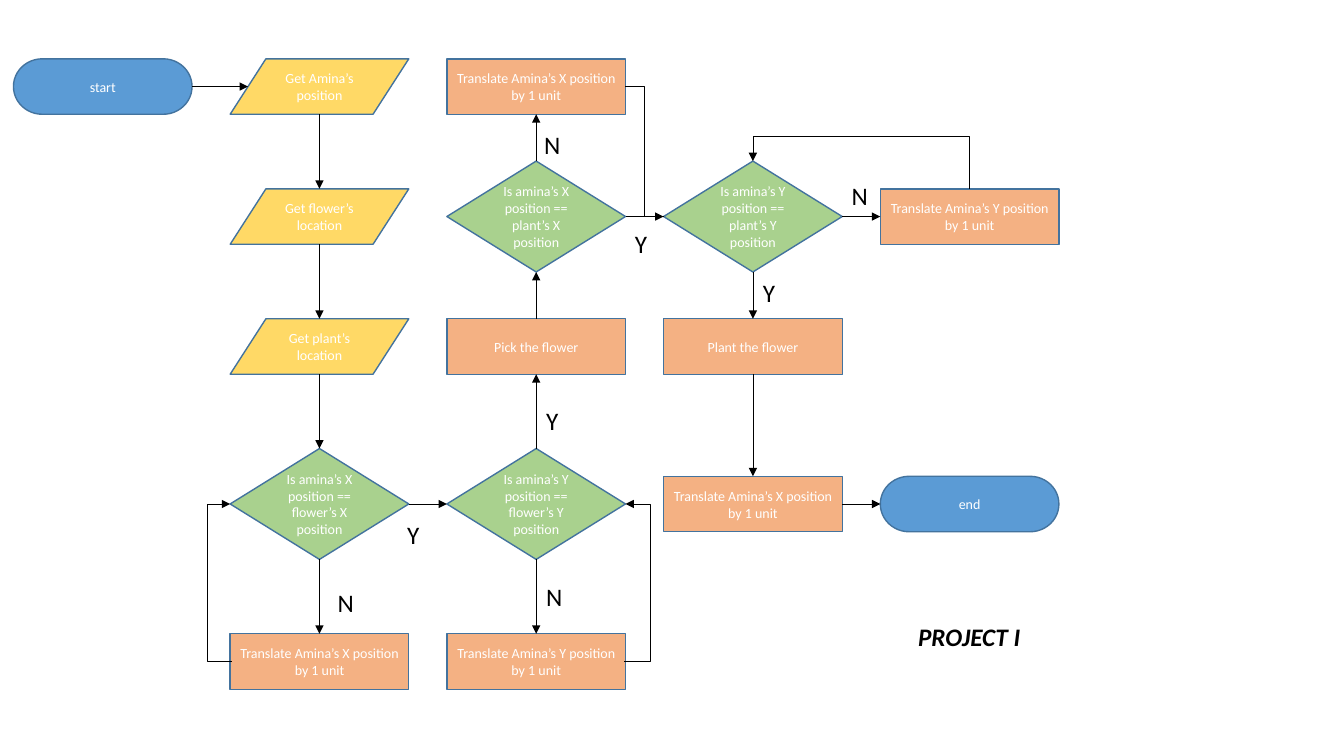
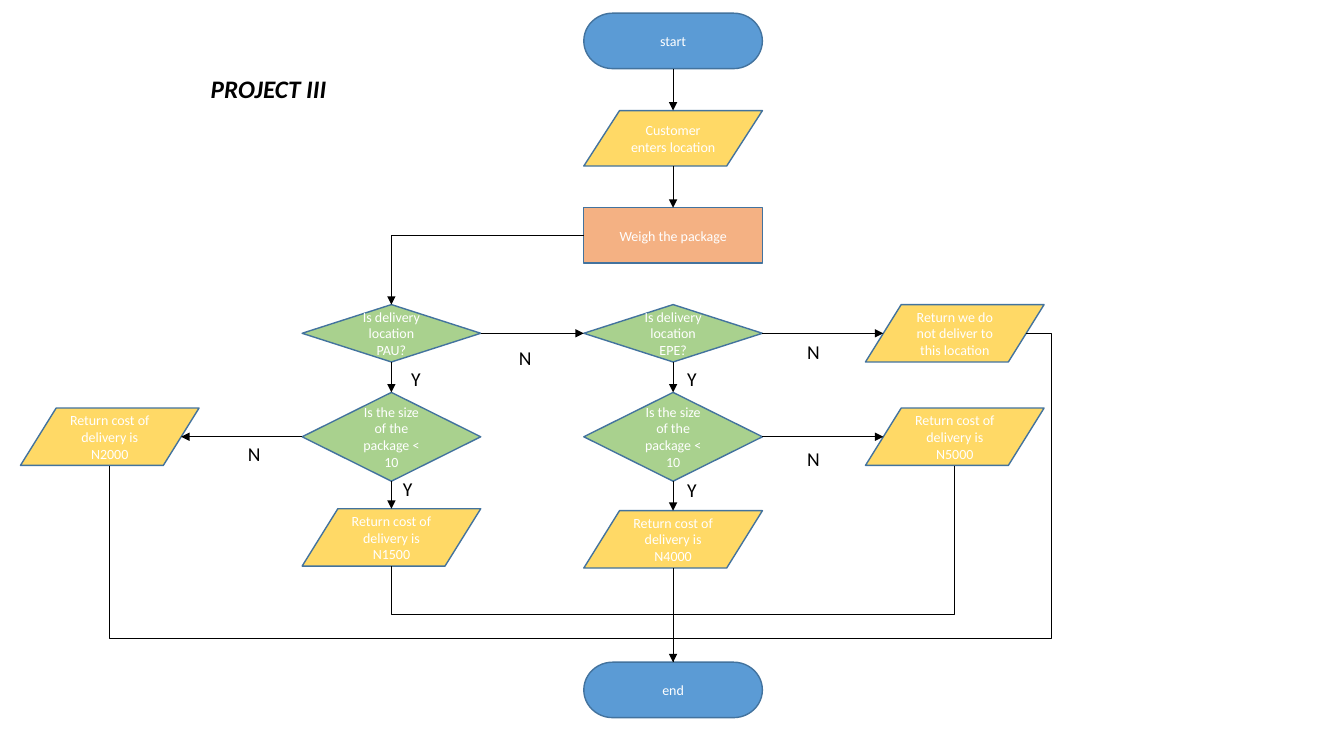
from dataclasses import dataclass

from lxml.etree import SubElement
from pptx import Presentation
from pptx.dml.color import RGBColor
from pptx.enum.shapes import MSO_CONNECTOR, MSO_SHAPE
from pptx.enum.text import MSO_ANCHOR, MSO_AUTO_SIZE, PP_ALIGN
from pptx.oxml.ns import qn
from pptx.util import Pt


@dataclass(frozen=True)
class Theme:
    font: str = "Calibri"
    terminator: str = "5B9BD5"
    input: str = "FFD966"
    process: str = "F4B183"
    decision: str = "A9D18E"
    outline: str = "43739E"
    light: str = "FFFFFF"
    dark: str = "000000"
    node_size: float = 10
    title_size: float = 18
    outline_width: float = 1
    link_width: float = 0.5


THEME = Theme()
SLIDE_WIDTH, SLIDE_HEIGHT = 960, 540
NODE_WIDTH, NODE_HEIGHT = 127.6, 39.6
INPUT_INSET = 0.1
PRESETS = {
    "terminator": MSO_SHAPE.FLOWCHART_TERMINATOR,
    "input": MSO_SHAPE.FLOWCHART_DATA,
    "process": MSO_SHAPE.FLOWCHART_PROCESS,
    "decision": MSO_SHAPE.FLOWCHART_DECISION,
}
SIDES = {"left": (-1, 0), "right": (1, 0), "top": (0, -1), "bottom": (0, 1)}
STEP_X = "Translate Amina’s X position by 1 unit"
STEP_Y = "Translate Amina’s Y position by 1 unit"
SIZE_QUESTION = "Is the size of the package < 10"

# nodes: name -> kind, column, row, text, optional height
FLOWER = {
    "title": ("PROJECT I", 571, 440.6, 242.6),
    "columns": [73.4 + 154.8 * column for column in range(5)],
    "rows": [61.8, 154.7, 247.5, 360, 472.5],
    "nodes": {
        "start": ("terminator", 0, 0, "start"),
        "amina": ("input", 1, 0, "Get Amina’s position"),
        "flower": ("input", 1, 1, "Get flower’s location"),
        "plant": ("input", 1, 2, "Get plant’s location"),
        "flower x": ("decision", 1, 3, "Is amina’s X position == flower’s X position", 79.2),
        "flower x step": ("process", 1, 4, STEP_X),
        "flower y": ("decision", 2, 3, "Is amina’s Y position == flower’s Y position", 79.2),
        "flower y step": ("process", 2, 4, STEP_Y),
        "pick": ("process", 2, 2, "Pick the flower"),
        "plant x": ("decision", 2, 1, "Is amina’s X position == plant’s X position", 79.2),
        "plant x step": ("process", 2, 0, STEP_X),
        "plant y": ("decision", 3, 1, "Is amina’s Y position == plant’s Y position", 79.2),
        "plant y step": ("process", 4, 1, STEP_Y),
        "put": ("process", 3, 2, "Plant the flower"),
        "leave": ("process", 3, 3, STEP_X),
        "end": ("terminator", 4, 3, "end"),
    },
    "arrows": [
        ("start", "right", "amina", "left"),
        ("amina", "bottom", "flower", "top"),
        ("flower", "bottom", "plant", "top"),
        ("plant", "bottom", "flower x", "top"),
        ("flower x", "bottom", "flower x step", "top"),
        ("flower x", "right", "flower y", "left"),
        ("flower y", "bottom", "flower y step", "top"),
        ("flower y", "top", "pick", "bottom"),
        ("pick", "top", "plant x", "bottom"),
        ("plant x", "top", "plant x step", "bottom"),
        ("plant x", "right", "plant y", "left"),
        ("plant y", "right", "plant y step", "left"),
        ("plant y", "bottom", "put", "top"),
        ("put", "bottom", "leave", "top"),
        ("leave", "right", "end", "left"),
    ],
    "elbows": [
        ("flower x step", "left", "flower x", "left", [147.8], True),
        ("flower y step", "right", "flower y", "right", [464.4], True),
        ("plant x step", "right", "plant y", "left", [460.1], False),
        ("plant y step", "top", "plant y", "top", [97.2], True),
    ],
    "label_size": 18,
    "labels": [
        ("N", 234, 416.2), ("Y", 283.7, 367.2), ("N", 383, 411.8), ("Y", 383, 285.8),
        ("N", 381.6, 88.6), ("Y", 446.4, 159.8), ("N", 601.2, 125.3), ("Y", 537.8, 194.4),
    ],
}

DELIVERY = {
    "title": ("PROJECT III", 116.6, 49, 150.5),
    "columns": [78.4 + 201.2 * column for column in range(4)],
    "rows": [29.2, 98.8, 168.2, 238.1, 312, 383.9, 385.3, 492.8],
    "nodes": {
        "start": ("terminator", 2, 0, "start"),
        "customer": ("input", 2, 1, "Customer enters location"),
        "weigh": ("process", 2, 2, "Weigh the package"),
        "pau": ("decision", 1, 3, "Is delivery location PAU?", 41),
        "epe": ("decision", 2, 3, "Is delivery location EPE?", 41),
        "refuse": ("input", 3, 3, "Return we do not deliver to this location", 41),
        "pau size": ("decision", 1, 4, SIZE_QUESTION, 63.4),
        "epe size": ("decision", 2, 4, SIZE_QUESTION, 63.4),
        "2000": ("input", 0, 4, "Return cost of delivery is N2000", 41),
        "5000": ("input", 3, 4, "Return cost of delivery is N5000", 41),
        "1500": ("input", 1, 5, "Return cost of delivery is N1500", 41),
        "4000": ("input", 2, 6, "Return cost of delivery is N4000", 41),
        "end": ("terminator", 2, 7, "end"),
    },
    "arrows": [
        ("start", "bottom", "customer", "top"),
        ("customer", "bottom", "weigh", "top"),
        ("pau", "right", "epe", "left"),
        ("epe", "right", "refuse", "left"),
        ("pau", "bottom", "pau size", "top"),
        ("epe", "bottom", "epe size", "top"),
        ("pau size", "left", "2000", "right"),
        ("epe size", "right", "5000", "left"),
        ("pau size", "bottom", "1500", "top"),
        ("epe size", "bottom", "4000", "top"),
        ("4000", "bottom", "end", "top"),
    ],
    "elbows": [
        ("weigh", "left", "pau", "top", [], True),
        ("1500", "bottom", "end", "top", [438.8], False),
        ("2000", "bottom", "end", "top", [455.9], False),
        ("5000", "bottom", "end", "top", [438.8], False),
        ("refuse", "right", "end", "top", [751, 455.9], False),
    ],
    "label_size": 14,
    "labels": [
        ("Y", 286.6, 258.5), ("N", 169.9, 311.8), ("N", 363.6, 243.4), ("N", 569.5, 239),
        ("Y", 280.8, 337), ("N", 569.5, 315.4), ("Y", 483.8, 258.5), ("Y", 483.8, 337.7),
    ],
}


def write_text(shape, text, size, color, align=PP_ALIGN.LEFT, anchor=MSO_ANCHOR.TOP,
               wrap=True, bold=False, italic=False):
    frame = shape.text_frame
    frame.word_wrap = wrap
    frame.vertical_anchor = anchor
    paragraph = frame.paragraphs[0]
    paragraph.alignment = align
    run = paragraph.add_run()
    run.text = text
    run.font.name = THEME.font
    run.font.size = Pt(size)
    run.font.bold = bold
    run.font.italic = italic
    run.font.color.rgb = RGBColor.from_string(color)


def add_text_box(slide, text, left, top, width, size, **text_format):
    box = slide.shapes.add_textbox(Pt(left), Pt(top), Pt(width), Pt(size * 1.2 + 7.2))
    write_text(box, text, size, THEME.dark, **text_format)
    box.text_frame.auto_size = MSO_AUTO_SIZE.SHAPE_TO_FIT_TEXT


def add_node(slide, chart, kind, column, row, text, height=NODE_HEIGHT):
    left = chart["columns"][column] - NODE_WIDTH / 2
    top = chart["rows"][row] - height / 2
    shape = slide.shapes.add_shape(PRESETS[kind], Pt(left), Pt(top), Pt(NODE_WIDTH), Pt(height))
    shape.shadow.inherit = False
    shape.fill.solid()
    shape.fill.fore_color.rgb = RGBColor.from_string(getattr(THEME, kind))
    shape.line.color.rgb = RGBColor.from_string(THEME.outline)
    shape.line.width = Pt(THEME.outline_width)
    write_text(shape, text, THEME.node_size, THEME.light,
               align=PP_ALIGN.CENTER, anchor=MSO_ANCHOR.MIDDLE)


def find_anchor(chart, name, side):
    kind, column, row, text, *height = chart["nodes"][name]
    across, down = SIDES[side]
    inset = INPUT_INSET if kind == "input" else 0
    x = chart["columns"][column] + across * NODE_WIDTH * (0.5 - inset)
    y = chart["rows"][row] + down * (height[0] if height else NODE_HEIGHT) / 2
    return x, y


def add_link(slide, preset, start, end, arrow):
    connector = slide.shapes.add_connector(preset, *(Pt(value) for value in (*start, *end)))
    connector.line.color.rgb = RGBColor.from_string(THEME.dark)
    connector.line.width = Pt(THEME.link_width)
    properties = connector._element.spPr
    if arrow:
        SubElement(properties.find(qn("a:ln")), qn("a:tailEnd"), type="triangle")
    SubElement(properties, qn("a:effectLst"))
    return properties


def add_elbow(slide, start, end, bends, vertical, arrow):
    if not vertical and start[0] == end[0]:
        start = (start[0] + (1 if bends[0] < start[0] else -1), start[1])
    delta = (end[0] - start[0], end[1] - start[1])
    first, last = start, end
    if vertical:
        quarter = 1 if delta[0] < 0 < delta[1] else -1
        center = ((start[0] + end[0]) / 2, (start[1] + end[1]) / 2)
        half = (quarter * delta[1] / 2, -quarter * delta[0] / 2)
        first = (center[0] - half[0], center[1] - half[1])
        last = (center[0] + half[0], center[1] + half[1])
    properties = add_link(slide, MSO_CONNECTOR.ELBOW, first, last, arrow)
    if vertical:
        properties.find(qn("a:xfrm")).set("rot", str(quarter * 90 % 360 * 60000))
    geometry = properties.find(qn("a:prstGeom"))
    geometry.set("prst", f"bentConnector{len(bends) + 2}")
    for index, bend in enumerate(bends):
        axis = (index + vertical) % 2
        share = round((bend - start[axis]) / delta[axis] * 100000)
        SubElement(geometry.find(qn("a:avLst")), qn("a:gd"),
                   name=f"adj{index + 1}", fmla=f"val {share}")


def add_flowchart(presentation, chart):
    slide = presentation.slides.add_slide(presentation.slide_layouts[6])
    for node in chart["nodes"].values():
        add_node(slide, chart, *node)
    for source, source_side, target, target_side in chart["arrows"]:
        add_link(slide, MSO_CONNECTOR.STRAIGHT, find_anchor(chart, source, source_side),
                 find_anchor(chart, target, target_side), True)
    for source, source_side, target, target_side, bends, arrow in chart["elbows"]:
        add_elbow(slide, find_anchor(chart, source, source_side),
                  find_anchor(chart, target, target_side), bends,
                  source_side in ("top", "bottom"), arrow)
    size = chart["label_size"]
    for text, left, top in chart["labels"]:
        width = 14.4 + size * (0.65 if text == "N" else 0.49)
        add_text_box(slide, text, left, top, width, size, wrap=False)
    add_text_box(slide, *chart["title"], THEME.title_size,
                 align=PP_ALIGN.CENTER, bold=True, italic=True)


presentation = Presentation()
presentation.slide_width, presentation.slide_height = Pt(SLIDE_WIDTH), Pt(SLIDE_HEIGHT)
for chart in (FLOWER, DELIVERY):
    add_flowchart(presentation, chart)
presentation.save("out.pptx")
